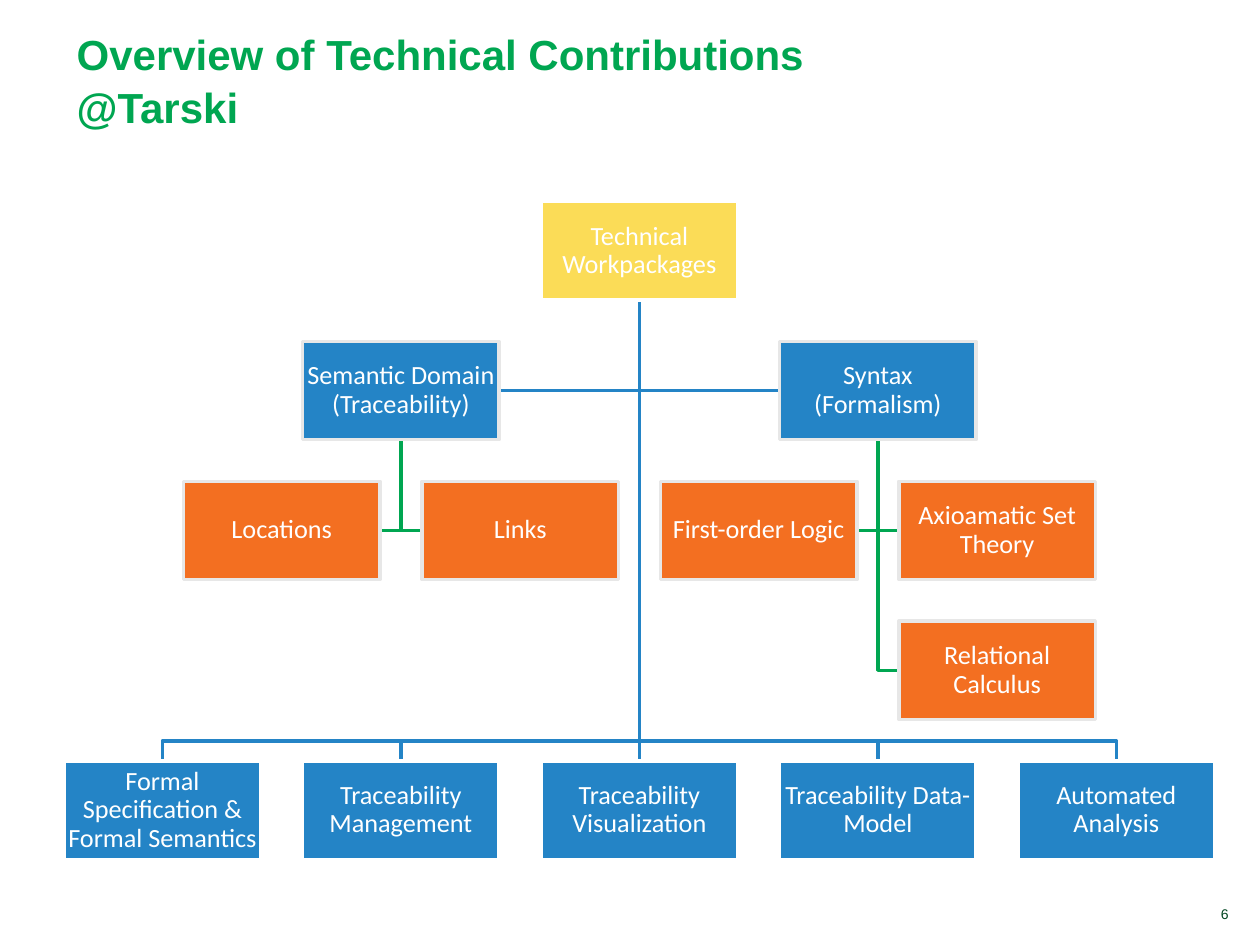
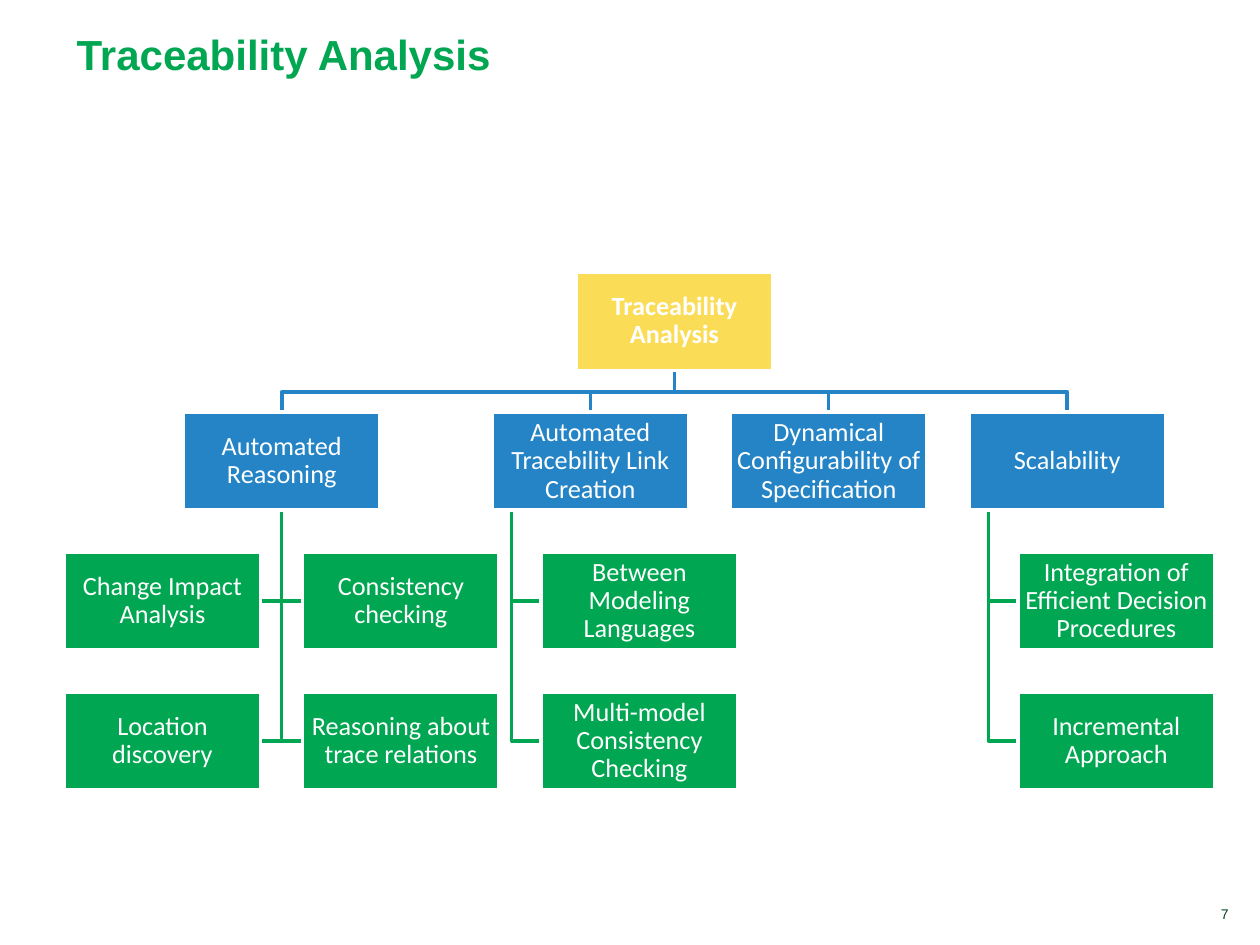
from dataclasses import dataclass

from pptx import Presentation
from pptx.dml.color import RGBColor as Rgb
from pptx.enum.shapes import MSO_CONNECTOR as Conn, MSO_SHAPE as Shape
from pptx.enum.text import MSO_ANCHOR as Anchor, PP_ALIGN as Align
from pptx.oxml import parse_xml
from pptx.oxml.ns import nsdecls
from pptx.util import Inches, Pt


@dataclass(frozen=True)
class Theme:
    """Colours, fonts and type sizes of the deck."""
    green: str = "00A651"
    blue: str = "2484C6"
    orange: str = "F36F21"
    yellow: str = "FBDC57"
    white: str = "FFFFFF"
    grey: str = "E7E7E7"
    dark: str = "004621"
    head: str = "Arial"
    body: str = "Calibri"
    big: int = 24
    mid: int = 15
    small: int = 8
    line: int = 2


@dataclass(frozen=True)
class Node:
    """A box of the tree: its grid place, its look and its children."""
    text: str
    col: float
    row: int
    fill: str
    kids: tuple = ()
    edge: str = Theme.white
    wire: str = Theme.green
    drop: bool = False
    trunk: float = 0.5
    bold: bool = False


T = Theme()
WIDE, HIGH = 1.56, 0.78
STEP, RISE = 1.8925, 1.11
BUS = 0.16
HANG = WIDE / 4 / STEP
TITLE = (0.51, 0.16, 6.81, 0.91)
FOOT = (8.54, 7.14, 1.31, 0.23)


def write(frame, text, font=T.body, size=T.mid, color=T.white, bold=False,
          align=Align.LEFT, anchor=Anchor.TOP, space=1.0, inset=None):
    """Put formatted text in a text frame."""
    frame.word_wrap = True
    frame.vertical_anchor = anchor
    if inset is not None:
        frame.margin_left = frame.margin_right = Inches(inset)
        frame.margin_top = frame.margin_bottom = Inches(inset)
    para = frame.paragraphs[0]
    para.alignment, para.line_spacing = align, space
    run = para.add_run()
    run.text = text
    run.font.name, run.font.size, run.font.bold = font, Pt(size), bold
    run.font.color.rgb = Rgb.from_string(color)


def label(slide, box, text, **look):
    """Add a text box."""
    area = slide.shapes.add_textbox(*map(Inches, box))
    write(area.text_frame, text, **look)


def stroke(shape, color):
    """Set the line of a shape."""
    shape.line.color.rgb = Rgb.from_string(color)
    shape.line.width = Pt(T.line)


def wire(slide, points, color):
    """Draw a straight or bent link through the points."""
    pts = [(Inches(x), Inches(y)) for x, y in points]
    if len({x for x, _ in pts}) == 1:
        link = slide.shapes.add_connector(Conn.STRAIGHT, *pts[0], *pts[-1])
        link._element.spPr.append(parse_xml(f"<a:effectLst {nsdecls('a')}/>"))
        stroke(link, color)
        return
    path = slide.shapes.build_freeform(*pts[0], scale=1.0)
    path.add_line_segments(pts[1:], close=False)
    link = path.convert_to_shape()
    link.fill.background()
    link.shadow.inherit = False
    stroke(link, color)


def place(node, area):
    """Give the left and top of a node in its area."""
    return area[0] + node.col * STEP, area[1] + node.row * RISE


def route(node, kid, area):
    """Give the points from a node to one of its children."""
    left, top = place(node, area)
    x, y = left + node.trunk * WIDE, top + HIGH
    near, roof = place(kid, area)
    if kid.drop:
        end = near + WIDE / 2
        bus = roof - BUS
        return [(x, y), (x, bus), (end, bus), (end, roof)]
    level = roof + HIGH / 2
    return [(x, y), (x, level), (near if near > x else near + WIDE, level)]


def links(slide, node, area):
    """Draw all links below a node."""
    for kid in node.kids:
        links(slide, kid, area)
        wire(slide, route(node, kid, area), node.wire)


def boxes(slide, node, area):
    """Draw a node and all boxes below it."""
    spot = (*place(node, area), WIDE, HIGH)
    box = slide.shapes.add_shape(Shape.RECTANGLE, *map(Inches, spot))
    box.shadow.inherit = False
    box.fill.solid()
    box.fill.fore_color.rgb = Rgb.from_string(node.fill)
    stroke(box, node.edge)
    write(box.text_frame, node.text, bold=node.bold, align=Align.CENTER,
          anchor=Anchor.MIDDLE, space=0.9, inset=0.01)
    for kid in node.kids:
        boxes(slide, kid, area)


def page(deck, title, number, root, area):
    """Add a slide with a title, a tree and a page number."""
    slide = deck.slides.add_slide(deck.slide_layouts[6])
    label(slide, FOOT, str(number), font=T.head, size=T.small, color=T.dark,
          align=Align.RIGHT, anchor=Anchor.BOTTOM)
    label(slide, TITLE, title, font=T.head, size=T.big, color=T.green,
          bold=True, space=1.05)
    links(slide, root, area)
    boxes(slide, root, area)


def leaf(text, col, row):
    """Make an orange leaf with a grey edge."""
    return Node(text, col, row, T.orange, edge=T.grey)


def work():
    """Build the tree of work packages."""
    base = ("Formal Specification & Formal Semantics ",
            "Traceability Management", "Traceability Visualization",
            "Traceability Data-Model", "Automated Analysis")
    drops = tuple(Node(text, col, 4, T.blue, drop=True)
                  for col, text in enumerate(base))
    domain = Node("Semantic Domain (Traceability)", 1, 1, T.blue, (
        leaf("Locations", 0.5, 2), leaf("Links", 1.5, 2)), edge=T.grey)
    syntax = Node("Syntax (Formalism)", 3, 1, T.blue, (
        leaf("First-order Logic", 2.5, 2),
        leaf("Axioamatic Set Theory", 3.5, 2),
        leaf("Relational Calculus", 3.5, 3)), edge=T.grey)
    return Node("Technical Workpackages", 2, 0, T.yellow,
                (*drops, domain, syntax), wire=T.blue)


def branch(text, col, *cells, trunk=0.5):
    """Make a blue branch whose green cells are (column, row, text)."""
    kids = tuple(Node(name, x, y, T.green) for x, y, name in cells)
    return Node(text, col, 1, T.blue, kids, drop=True, trunk=trunk)


def trace():
    """Build the tree of traceability analysis."""
    arms = (
        branch("Automated Reasoning", 0.5,
               (0, 2, "Change Impact Analysis"),
               (1, 2, "Consistency checking"),
               (0, 3, "Location discovery"),
               (1, 3, "Reasoning about trace relations")),
        branch("Automated Tracebility Link Creation", 2 - HANG,
               (2, 2, "Between Modeling Languages"),
               (2, 3, "Multi-model Consistency Checking"), trunk=0.1),
        branch("Dynamical Configurability of Specification", 3 - HANG),
        branch("Scalability", 4 - HANG,
               (4, 2, "Integration of Efficient Decision Procedures"),
               (4, 3, "Incremental Approach"), trunk=0.1),
    )
    return Node("Traceability Analysis", (arms[0].col + arms[-1].col) / 2, 0,
                T.yellow, arms, wire=T.blue, bold=True)


def main():
    """Build and save the deck."""
    deck = Presentation()
    deck.slide_width, deck.slide_height = Inches(10), Inches(7.5)
    page(deck, "Overview of Technical Contributions @Tarski", 6, work(),
         (0.51, 1.6))
    page(deck, "Traceability Analysis", 7, trace(), (0.51, 2.16))
    deck.save("out.pptx")


if __name__ == "__main__":
    main()
